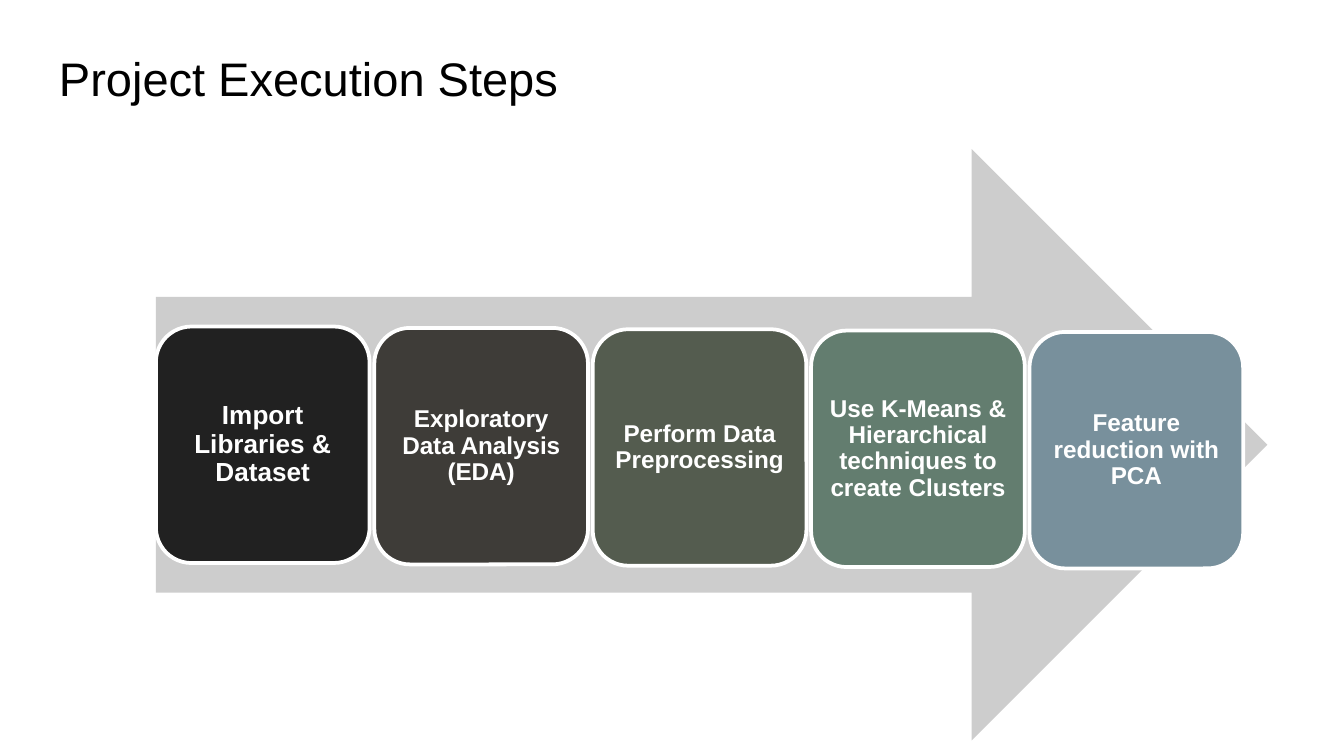
from collections import namedtuple

from pptx import Presentation
from pptx.dml.color import RGBColor
from pptx.enum.shapes import MSO_SHAPE as Preset
from pptx.enum.text import MSO_ANCHOR as Anchor, PP_ALIGN as Align
from pptx.util import Inches, Pt

Box = namedtuple("Box", "left top width height")

SLIDE_WIDTH = 10
SLIDE_HEIGHT = SLIDE_WIDTH * 9 / 16
BLACK = RGBColor(0x00, 0x00, 0x00)
WHITE = RGBColor(0xFF, 0xFF, 0xFF)
ARROW_GREY = RGBColor(0xCD, 0xCD, 0xCD)
CHARCOAL = RGBColor(0x21, 0x21, 0x21)
BROWN = RGBColor(0x3E, 0x3C, 0x38)
OLIVE = RGBColor(0x54, 0x5C, 0x4F)
GREEN = RGBColor(0x63, 0x7D, 0x6F)
BLUE_GREY = RGBColor(0x78, 0x90, 0x9C)

# Wording, fill, text size and inset of each step
STEPS = [
    ("Import Libraries & Dataset", CHARCOAL, 14, 0.06),
    ("Exploratory Data Analysis (EDA)", BROWN, 13, 0.05),
    ("Perform Data Preprocessing", OLIVE, 13, 0.05),
    ("Use K-Means & Hierarchical techniques to create Clusters", GREEN, 13, 0.05),
    ("Feature reduction with PCA", BLUE_GREY, 13, 0.05),
]


def inches(box):
    return [Inches(length) for length in box]


def write_text(shape, text, size, color, inset, anchor, align, bold=False, spacing=1.0):
    frame = shape.text_frame
    frame.word_wrap = True
    frame.vertical_anchor = anchor
    for side in ("left", "top", "right", "bottom"):
        setattr(frame, f"margin_{side}", Inches(inset))
    para = frame.paragraphs[0]
    para.alignment, para.line_spacing = align, spacing
    span = para.add_run()
    span.text = text
    font_format = {"name": "Arial", "size": Pt(size), "bold": bold}
    for name, value in font_format.items():
        setattr(span.font, name, value)
    span.font.color.rgb = color


def add_filled_shape(page, preset, box, fill):
    shape = page.shapes.add_shape(preset, *inches(box))
    shape.shadow.inherit = False
    shape.fill.solid()
    shape.fill.fore_color.rgb = fill
    shape.line.fill.background()
    return shape


def add_title(page, box):
    title = page.shapes.add_textbox(*inches(box))
    write_text(title, "Project Execution Steps", 25.2, BLACK, 0.1, Anchor.TOP, Align.LEFT)


def add_step(page, box, text, fill, size, inset):
    card = add_filled_shape(page, Preset.ROUNDED_RECTANGLE, box, fill)
    card.line.color.rgb = WHITE
    card.line.width = Pt(2)
    write_text(card, text, size, WHITE, inset, Anchor.MIDDLE, Align.CENTER,
               bold=True, spacing=0.9)


def add_process(page, box):
    """Draw the wide arrow with a row of slightly descending step cards on it."""
    add_filled_shape(page, Preset.RIGHT_ARROW, box, ARROW_GREY)
    last_column = len(STEPS) - 1
    card_width, card_height = 1.59, 0.4 * box.height
    pitch, drop = 6.5 / last_column, 0.04 / last_column
    first_top = box.top + 0.3 * box.height
    for column, step in enumerate(STEPS):
        card = Box(box.left + column * pitch, first_top + column * drop,
                   card_width, card_height)
        add_step(page, card, *step)


def main():
    deck = Presentation()
    deck.slide_width, deck.slide_height = Inches(SLIDE_WIDTH), Inches(SLIDE_HEIGHT)
    page = deck.slides.add_slide(deck.slide_layouts[6])
    margin = 0.34
    add_title(page, Box(margin, 0.27, SLIDE_WIDTH - 2 * margin, 0.63))
    add_process(page, Box(1.16, 1.11, 8.27, 4.4))
    deck.save("out.pptx")


if __name__ == "__main__":
    main()
